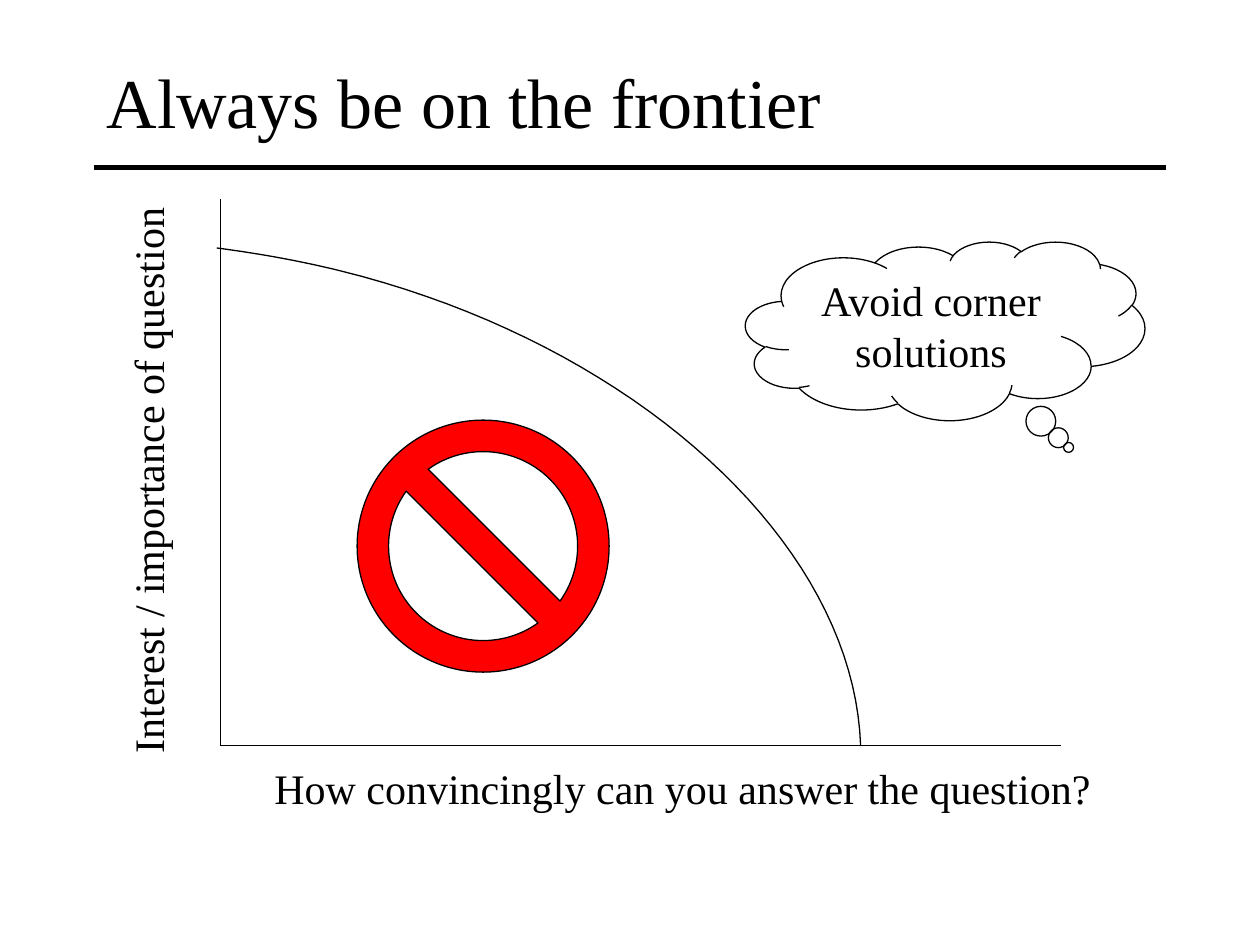
from lxml import etree
from pptx import Presentation
from pptx import util as u
from pptx.dml.color import RGBColor
from pptx.enum import shapes, text
from pptx.oxml.ns import qn

COLORS = {"ink": "000000", "stop": "FF0000"}
FONT = "Times New Roman"
THIN = 0.74


def write(shape, words, size, frame_format, para_format):
    frame = shape.text_frame
    frame.word_wrap = True
    for name, value in frame_format.items():
        setattr(frame, name, value)
    para = frame.paragraphs[0]
    for name, value in para_format.items():
        setattr(para, name, value)
    span = para.add_run()
    span.text = words
    for name, value in {"name": FONT, "size": u.Pt(size)}.items():
        setattr(span.font, name, value)
    span.font.color.rgb = RGBColor.from_string(COLORS["ink"])


def outline(shape, width):
    shape.line.color.rgb = RGBColor.from_string(COLORS["ink"])
    shape.line.width = u.Pt(width)


deck = Presentation()
deck.slide_width, deck.slide_height = u.Cm(25.4), u.Cm(19.05)
page = deck.slides.add_slide(deck.slide_layouts[6])

rules = [
    (1.9, 3.38, 23.5, 3.38, 3),
    (4.45, 4.02, 4.45, 15.03, THIN),
    (4.45, 15.03, 21.38, 15.03, THIN),
]
for *ends, width in rules:
    rule = page.shapes.add_connector(
        shapes.MSO_CONNECTOR.STRAIGHT, *[u.Cm(value) for value in ends]
    )
    outline(rule, width)
    etree.SubElement(rule.element.spPr, qn("a:effectLst"))

middle = {"vertical_anchor": text.MSO_ANCHOR.MIDDLE}
top = {"vertical_anchor": text.MSO_ANCHOR.TOP}
growing = {**top, "auto_size": text.MSO_AUTO_SIZE.SHAPE_TO_FIT_TEXT}
spaced = {"space_before": u.Pt(15)}
labels = [
    ("Always be on the frontier", (1.9, 0.43, 21.59, 3.18), 0, 40, middle, {}),
    ("Interest / importance of question", (-4.11, 7.72, 14.17, 1.27), 270, 24, growing, spaced),
    ("How convincingly can you answer the question?", (5.28, 15.24, 19.05, 1.27), 0, 24, growing, spaced),
]
for words, place, angle, size, frame_format, para_format in labels:
    box = page.shapes.add_textbox(*[u.Cm(value) for value in place])
    box.rotation = angle
    write(box, words, size, frame_format, para_format)

curves = [
    ((4.37, 5.0), (5.21, 5.11), (6.05, 5.26), (6.86, 5.46)),
    ((6.86, 5.46), (12.8, 6.93), (17.22, 10.95), (17.35, 15.04)),
]
STEPS = 40
points = []
for curve in curves:
    for step in range(STEPS + 1):
        t = step / STEPS
        weights = ((1 - t) ** 3, 3 * t * (1 - t) ** 2, 3 * t**2 * (1 - t), t**3)
        points.append(
            tuple(u.Cm(sum(w * v for w, v in zip(weights, axis))) for axis in zip(*curve))
        )
builder = page.shapes.build_freeform(*points[0])
builder.add_line_segments(points[1:], close=False)
frontier = builder.convert_to_shape()

cloud = page.shapes.add_shape(
    shapes.MSO_SHAPE.CLOUD_CALLOUT, u.Cm(15.03), u.Cm(4.87), u.Cm(8.05), u.Cm(3.6)
)
cloud.adjustments[0], cloud.adjustments[1] = 0.309, 0.653
write(cloud, "Avoid corner solutions", 24, top, {"alignment": text.PP_ALIGN.CENTER})

stop_sign = page.shapes.add_shape(
    shapes.MSO_SHAPE.NO_SYMBOL, u.Cm(7.2), u.Cm(8.47), u.Cm(5.08), u.Cm(5.08)
)
stop_sign.adjustments[0] = 0.125

for shape in (frontier, cloud, stop_sign):
    shape.shadow.inherit = False
    shape.fill.background()
    outline(shape, THIN)
stop_sign.fill.solid()
stop_sign.fill.fore_color.rgb = RGBColor.from_string(COLORS["stop"])

deck.save("out.pptx")
